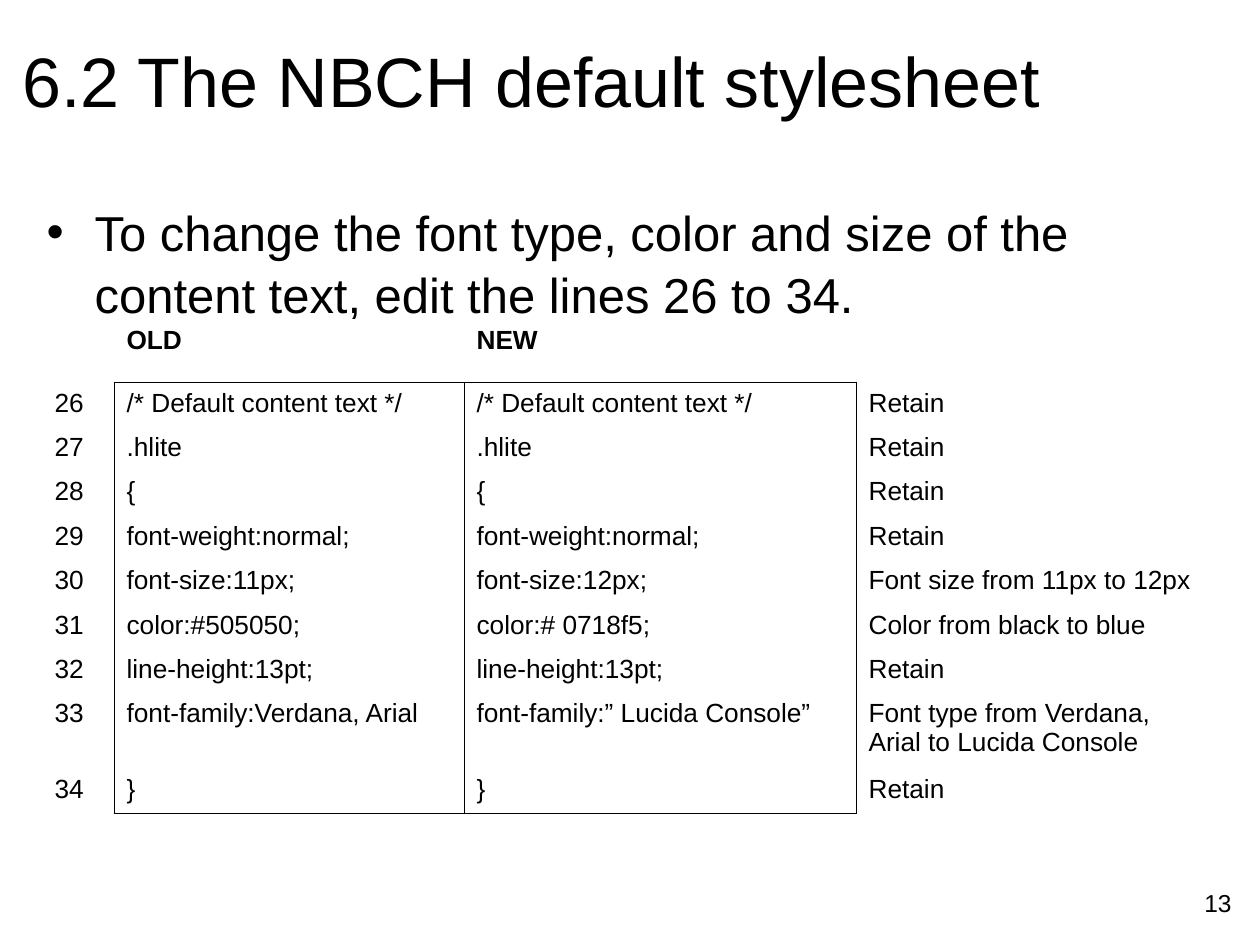
from pptx import Presentation
from pptx import util as u
from pptx.dml.color import RGBColor
from pptx.enum import text
from pptx.oxml import ns, xmlchemy

PX = u.Inches(1) / 126
FONT = "Arial"
BLACK = RGBColor(0x00, 0x00, 0x00)
WHITE = RGBColor(0xFF, 0xFF, 0xFF)
LINE_WIDTH = u.Pt(0.45)

COLUMNS = [72, 350, 392, 351]
ROWS = [63] + [311 / 7] * 7 + [76, 45]
EDITS = [
    ("", "OLD", "NEW", ""),
    ("26", "/* Default content text */", "/* Default content text */", "Retain"),
    ("27", ".hlite", ".hlite", "Retain"),
    ("28", "{", "{", "Retain"),
    ("29", "font-weight:normal;", "font-weight:normal;", "Retain"),
    ("30", "font-size:11px;", "font-size:12px;", "Font size from 11px to 12px"),
    ("31", "color:#505050;", "color:# 0718f5;", "Color from black to blue"),
    ("32", "line-height:13pt;", "line-height:13pt;", "Retain"),
    ("33", "font-family:Verdana, Arial", "font-family:” Lucida Console”",
     "Font type from Verdana, Arial to Lucida Console"),
    ("34", "}", "}", "Retain"),
]


def px(length):
    """Turn pixels into EMU."""
    return u.Emu(round(length * PX))


def place(shape, box):
    """Move a shape to a box of left, top, width and height."""
    shape.left, shape.top, shape.width, shape.height = map(px, box)


def write(frame, words, size, bold=False, align=text.PP_ALIGN.LEFT):
    """Fill a text frame with one formatted paragraph and return it."""
    frame.text = words
    para = frame.paragraphs[0]
    para.alignment = align
    para.space_before = u.Pt(0)
    for span in para.runs:
        span.font.name = FONT
        span.font.size = u.Pt(size)
        span.font.bold = bold
        span.font.color.rgb = BLACK
    return para


def add_title(page, box):
    """Set the slide title."""
    place(page.shapes.title, box)
    frame = page.shapes.title.text_frame
    frame.auto_size = text.MSO_AUTO_SIZE.NONE
    frame.vertical_anchor = text.MSO_ANCHOR.MIDDLE
    write(frame, "6.2 The NBCH default stylesheet", 40)


def add_instruction(page, box):
    """Set the bulleted instruction."""
    body = page.placeholders[1]
    place(body, box)
    body.text_frame.auto_size = text.MSO_AUTO_SIZE.NONE
    para = write(body.text_frame, "To change the font type, color and size of the "
                 "content text, edit the lines 26 to 34.", 28)
    para.line_spacing = 1.05
    props = para._p.get_or_add_pPr()
    props.set("marL", str(px(48)))
    props.set("indent", str(px(-48)))


def set_borders(cell, sides):
    """Draw the named sides of a cell and clear the others."""
    props = cell._tc.get_or_add_tcPr()
    for side in "LRTB":
        line = xmlchemy.OxmlElement(f"a:ln{side}")
        line.set("w", str(LINE_WIDTH))
        props.append(line)
        if side in sides:
            fill = xmlchemy.OxmlElement("a:solidFill")
            color = xmlchemy.OxmlElement("a:srgbClr")
            color.set("val", str(BLACK))
            fill.append(color)
            line.append(fill)
        else:
            line.append(line.makeelement(ns.qn("a:noFill")))


def border_sides(row, column):
    """Name the ruled sides of a cell around the two code columns."""
    code = column in (1, 2)
    rules = {
        "L": row > 0 and column > 0,
        "R": row > 0 and column < 3,
        "T": row == 1 and code,
        "B": row in (0, len(EDITS) - 1) and code,
    }
    return [side for side, ruled in rules.items() if ruled]


def add_edits(page, box):
    """Add the table of old and new stylesheet lines."""
    table = page.shapes.add_table(len(EDITS), len(COLUMNS), *map(px, box)).table
    table.first_row = table.horz_banding = False
    for column, width in zip(table.columns, COLUMNS):
        column.width = px(width)
    for row, height in zip(table.rows, ROWS):
        row.height = px(height)
    for row, entries in enumerate(EDITS):
        for column, words in enumerate(entries):
            cell = table.cell(row, column)
            write(cell.text_frame, words, 15, bold=row == 0)
            set_borders(cell, border_sides(row, column))
            cell.fill.solid()
            cell.fill.fore_color.rgb = WHITE


def add_page_number(page, box):
    """Add the page number at the lower right."""
    frame = page.shapes.add_textbox(*map(px, box)).text_frame
    frame.word_wrap = True
    write(frame, "13", 14, align=text.PP_ALIGN.RIGHT)


def main():
    """Build and save the slide."""
    deck = Presentation()
    deck.slide_width, deck.slide_height = px(1260), px(945)
    page = deck.slides.add_slide(deck.slide_layouts[1])
    add_title(page, (10, 0, 1144, 158))
    add_instruction(page, (34, 193, 1206, 131))
    add_edits(page, (42, 319, sum(COLUMNS), sum(ROWS)))
    add_page_number(page, (982, 882, 262, 63))
    deck.save("out.pptx")


if __name__ == "__main__":
    main()
